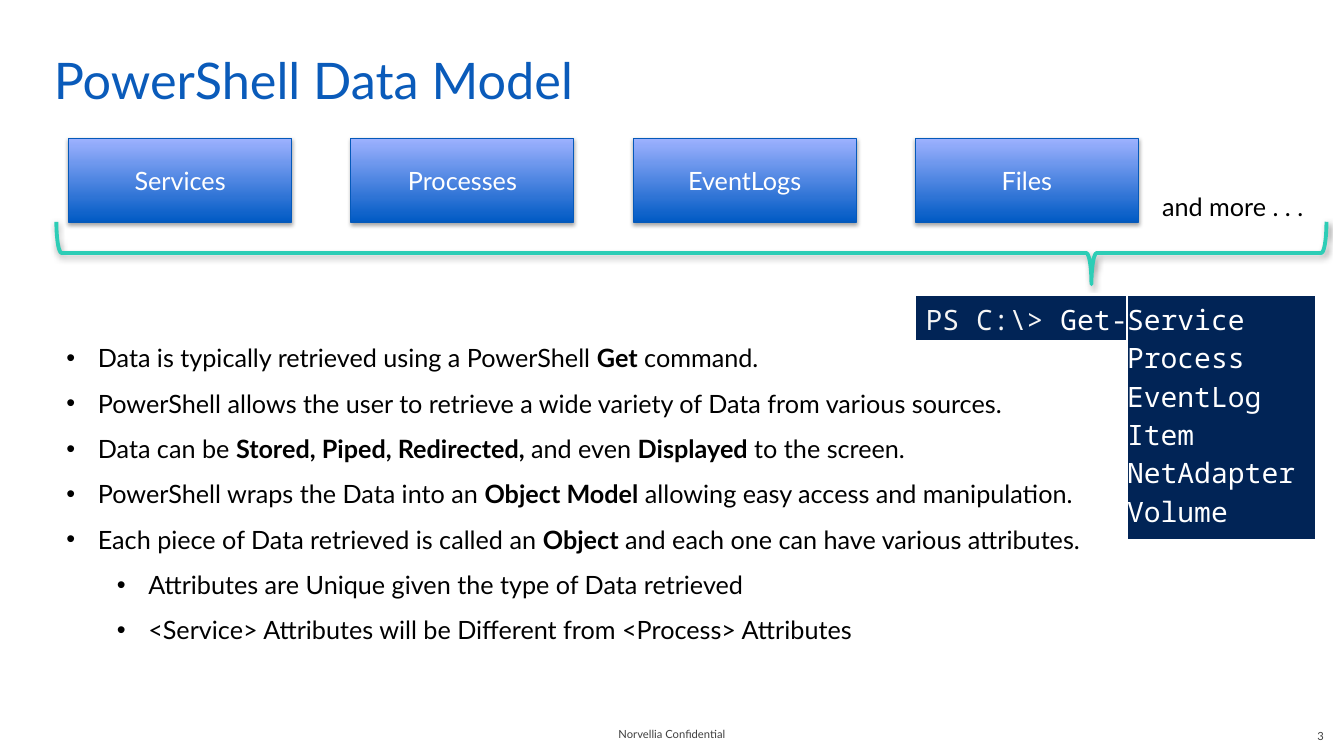
"""Build the PowerShell Data Model slide."""
from dataclasses import dataclass

from lxml import etree
from pptx import Presentation
from pptx import util as u
from pptx.dml.color import RGBColor
from pptx.enum import shapes, text
from pptx.oxml import parse_xml
from pptx.oxml.ns import nsdecls, qn


@dataclass(frozen=True)
class Theme:
    """Colours, fonts and type sizes."""
    sans: str = "Lato"
    mono: str = "Noto Sans Mono"
    title: str = "0A5BBA"
    body: str = "000000"
    footer: str = "3F3F3F"
    light: str = "FFFFFF"
    prompt: str = "F5F5F5"
    console: str = "012456"
    box_top: str = "9EB2FF"
    box_bottom: str = "005AC4"
    box_line: str = "0559BA"
    brace: str = "2DCDB6"
    title_size: int = 36
    body_size: int = 18
    console_size: int = 20
    footer_size: int = 8


class SlideBuilder:
    """Draws styled elements on one slide."""

    def __init__(self, slide, theme):
        """Keep the slide and its theme."""
        self.slide = slide
        self.theme = theme

    def add_run(self, paragraph, words, size, color, bold=False, font=None):
        """Append one run to a paragraph."""
        run = paragraph.add_run()
        run.text = words
        run.font.name = font or self.theme.sans
        run.font.size = u.Pt(size)
        run.font.bold = bold
        run.font.color.rgb = RGBColor.from_string(color)

    def paragraphs(self, frame, count):
        """Return the given number of paragraphs of a frame."""
        return [frame.paragraphs[0]] + [frame.add_paragraph() for _ in range(count - 1)]

    def frame(self, bounds, insets=(7.2, 3.6, 7.2, 3.6), anchor=text.MSO_ANCHOR.TOP):
        """Add a wrapping text box and return its frame."""
        frame = self.slide.shapes.add_textbox(*map(u.Pt, bounds)).text_frame
        frame.word_wrap = True
        frame.vertical_anchor = anchor
        (frame.margin_left, frame.margin_top,
         frame.margin_right, frame.margin_bottom) = map(u.Pt, insets)
        return frame

    def label(self, words, bounds, size, color):
        """Add a plain one-line label."""
        self.add_run(self.frame(bounds).paragraphs[0], words, size, color)

    def title(self, words, bounds):
        """Add the slide title."""
        frame = self.frame(bounds, (14.4, 10.8, 7.2, 3.6))
        self.add_run(frame.paragraphs[0], words, self.theme.title_size, self.theme.title)

    def footer(self, words, bounds, alignment):
        """Add a small footer text."""
        frame = self.frame(bounds, (14.4, 3.6, 14.4, 3.6), text.MSO_ANCHOR.MIDDLE)
        paragraph = frame.paragraphs[0]
        paragraph.alignment = alignment
        self.add_run(paragraph, words, self.theme.footer_size, self.theme.footer)

    def shadow(self, shape, distance, opacity):
        """Give a shape a soft shadow below it."""
        shape.shadow.inherit = False
        effects = shape._element.spPr.find(qn("a:effectLst"))
        effects.append(parse_xml(
            f'<a:outerShdw {nsdecls("a")} blurRad="{u.Pt(3.1)}" dist="{u.Pt(distance)}" '
            f'dir="5400000" rotWithShape="0"><a:srgbClr val="000000">'
            f'<a:alpha val="{opacity * 1000}"/></a:srgbClr></a:outerShdw>'))

    def source_box(self, words, bounds):
        """Add a gradient box naming a data source."""
        shape = self.slide.shapes.add_shape(shapes.MSO_SHAPE.RECTANGLE, *map(u.Pt, bounds))
        shape.fill.gradient()
        shape.fill.gradient_angle = 90
        colors = (self.theme.box_bottom, self.theme.box_top)
        for stop, color in zip(shape.fill.gradient_stops, colors):
            stop.color.rgb = RGBColor.from_string(color)
        shape.line.color.rgb = RGBColor.from_string(self.theme.box_line)
        shape.line.width = u.Pt(0.75)
        self.shadow(shape, 1.8, 35)
        shape.text_frame.vertical_anchor = text.MSO_ANCHOR.MIDDLE
        paragraph = shape.text_frame.paragraphs[0]
        paragraph.alignment = text.PP_ALIGN.CENTER
        self.add_run(paragraph, words, self.theme.body_size, self.theme.light)

    def brace(self, bounds, curve, tip):
        """Add a brace that opens upwards."""
        shape = self.slide.shapes.add_shape(shapes.MSO_SHAPE.LEFT_BRACE, *map(u.Pt, bounds))
        shape.rotation = 270
        shape.adjustments[0] = curve
        shape.adjustments[1] = tip
        shape.fill.background()
        shape.line.color.rgb = RGBColor.from_string(self.theme.brace)
        shape.line.width = u.Pt(2.75)
        self.shadow(shape, 1.6, 38)

    def console(self, lines, bounds, left_inset, right_inset):
        """Add a one-cell console table from lines of (words, colour) runs."""
        table = self.slide.shapes.add_table(1, 1, *map(u.Pt, bounds)).table
        table.first_row = table.horz_banding = False
        cell = table.cell(0, 0)
        cell.margin_left, cell.margin_right = u.Pt(left_inset), u.Pt(right_inset)
        properties = cell._tc.get_or_add_tcPr()
        for side, width in (("L", 1), ("R", 1), ("T", 1), ("B", 3)):
            properties.append(parse_xml(
                f'<a:ln{side} {nsdecls("a")} w="{u.Pt(width)}"><a:solidFill>'
                f'<a:srgbClr val="{self.theme.light}"/></a:solidFill></a:ln{side}>'))
        cell.fill.solid()
        cell.fill.fore_color.rgb = RGBColor.from_string(self.theme.console)
        for paragraph, runs in zip(self.paragraphs(cell.text_frame, len(lines)), lines):
            for words, color in runs:
                self.add_run(paragraph, words, self.theme.console_size, color,
                             font=self.theme.mono)

    def bullets(self, items, bounds):
        """Add bullets from (level, runs), where every second run is bold."""
        frame = self.frame(bounds)
        for paragraph, (level, runs) in zip(self.paragraphs(frame, len(items)), items):
            properties = paragraph._p.get_or_add_pPr()
            properties.set("marL", str(u.Pt(22.5 + 36 * level)))
            properties.set("indent", str(u.Pt(-22.5)))
            etree.SubElement(properties, qn("a:buFont")).set("typeface", "Arial")
            etree.SubElement(properties, qn("a:buChar")).set("char", "•")
            paragraph.level = level
            paragraph.line_spacing = 1.5
            for index, words in enumerate(runs):
                self.add_run(paragraph, words, self.theme.body_size, self.theme.body,
                             bold=index % 2 == 1)


SOURCES = ("Services", "Processes", "EventLogs", "Files")
NOUNS = ("Service", "Process", "EventLog", "Item", "NetAdapter", "Volume")
BULLETS = (
    (0, ("Data is typically retrieved using a PowerShell ", "Get", " command.")),
    (0, ("PowerShell allows the user to retrieve a wide variety of Data from various sources.",)),
    (0, ("Data can be ", "Stored, Piped, Redirected, ", "and even ", "Displayed",
         " to the screen.")),
    (0, ("PowerShell wraps the Data into an ", "Object Model",
         " allowing easy access and manipulation.")),
    (0, ("Each piece of Data retrieved is called an ", "Object",
         " and each one can have various attributes.")),
    (1, ("Attributes are Unique given the type of Data retrieved",)),
    (1, ("<Service> Attributes will be Different from <Process> Attributes",)),
)


def main():
    """Build and save the presentation."""
    presentation = Presentation()
    presentation.slide_width, presentation.slide_height = u.Pt(960), u.Pt(540)
    theme = Theme()
    builder = SlideBuilder(presentation.slides.add_slide(presentation.slide_layouts[6]), theme)

    builder.footer("Norvellia Confidential", (368, 510, 224, 28.8), text.PP_ALIGN.CENTER)
    builder.title("PowerShell Data Model", (24, 24, 888, 54))
    builder.footer("3", (736, 511, 224, 28.8), text.PP_ALIGN.RIGHT)
    for column, source in enumerate(SOURCES):
        builder.source_box(source, (49 + 201.6 * column, 98.6, 159.4, 60))
    builder.label("and more . . .", (823, 133.2, 124, 29), theme.body_size, theme.body)
    builder.console([(("PS C:\\> ", theme.prompt), ("Get-", theme.light))],
                    (654, 211, 153, 33), 7.2, 0)
    builder.console([((noun, theme.light),) for noun in NOUNS],
                    (805, 211, 135, 175), 0, 7.2)
    builder.brace((471.6, -272.9, 44.6, 907.2), 0.083, 0.815)
    builder.bullets(BULLETS, (40.3, 230.4, 757, 232.6))
    presentation.save("out.pptx")


if __name__ == "__main__":
    main()
